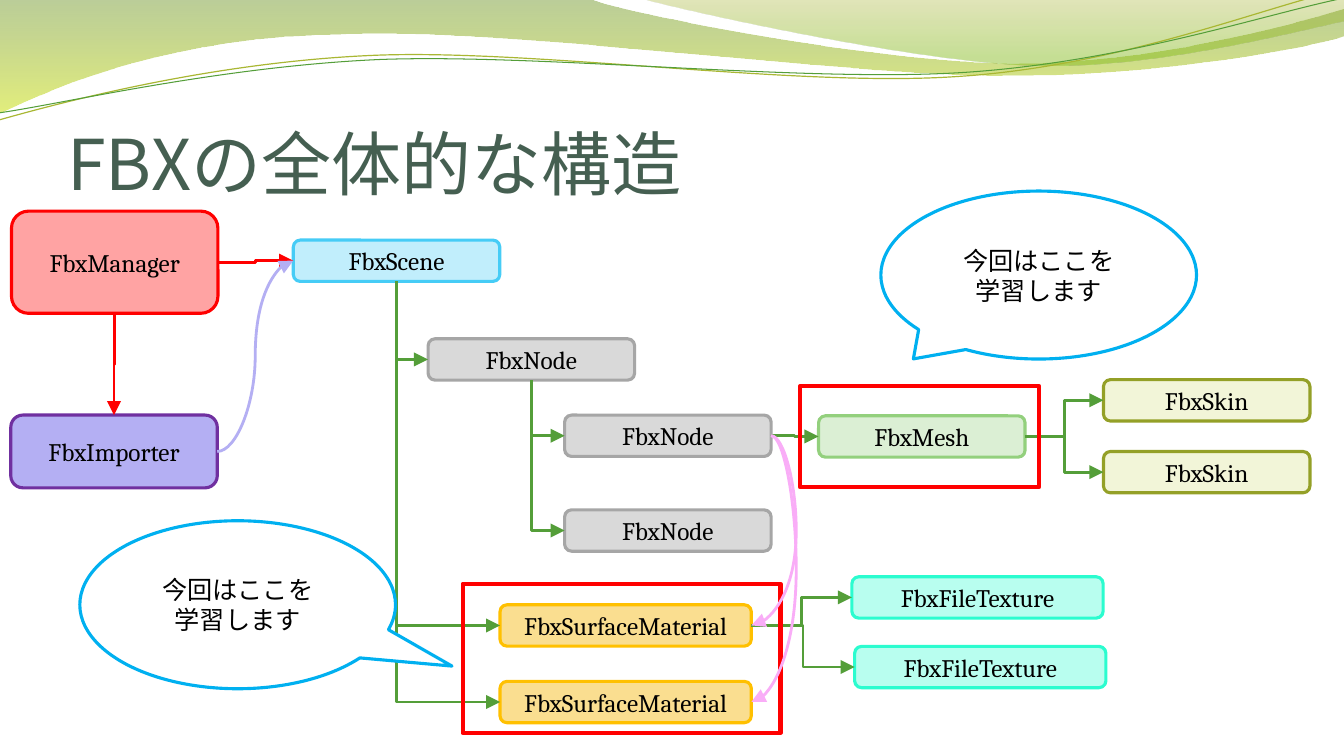
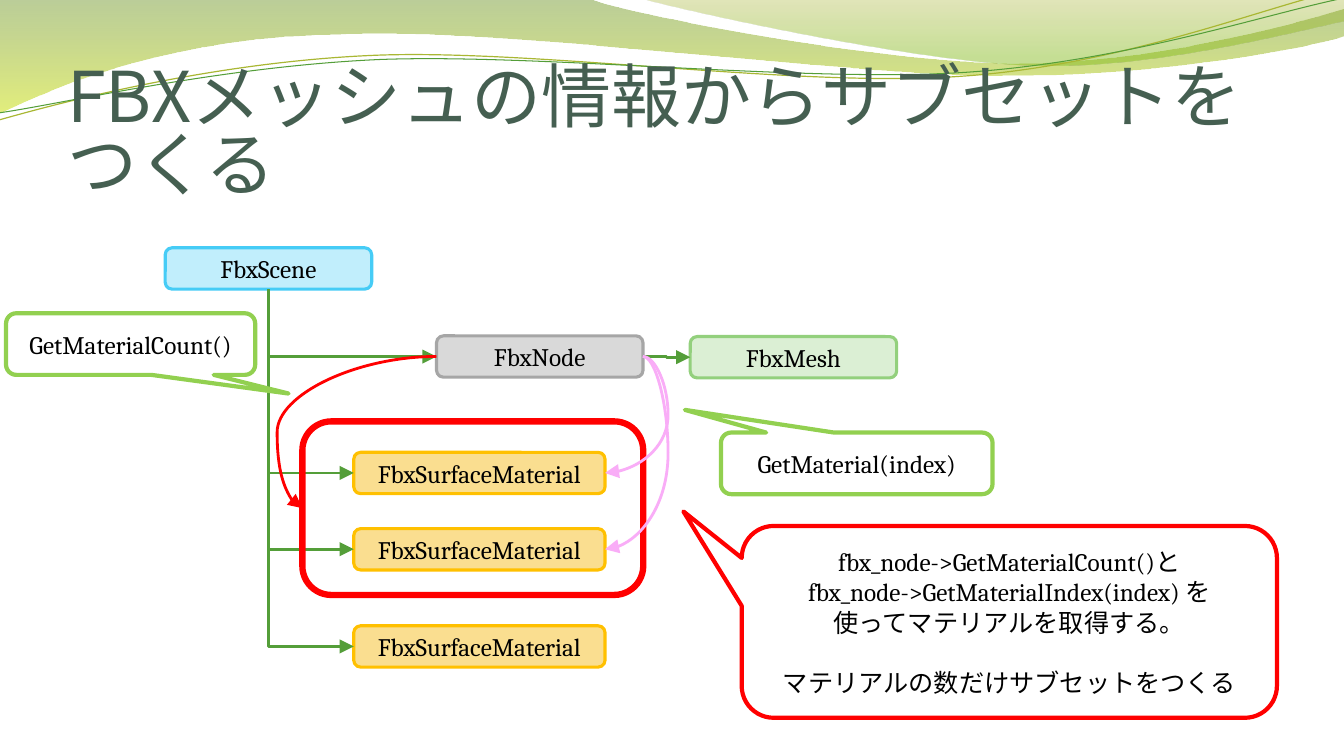
from lxml import etree
from pptx import Presentation
from pptx.dml.color import RGBColor
from pptx.enum import shapes, text
from pptx.oxml.ns import qn
from pptx.util import Pt

COLORS = {
    "title": "455F51", "text": "000000", "white": "FFFFFF",
    "green": "549E39", "red": "FF0000", "lilac": "B4AFF3", "pink": "F9ADF7",
    "blue": "00B0F0", "lime": "92D050", "olive": "A9B733", "purple": "7030A0",
    "grey": "D9D9D9", "grey edge": "A6A6A6", "sky": "C1EEFC", "sky edge": "46CCF6",
    "mint": "DBEFD4", "mint edge": "93D07D", "cream": "F2F5D8", "cream edge": "94A027",
    "gold": "FADE90", "gold edge": "FFC000", "rose": "FFA3A3",
    "aqua": "B8FEEF", "aqua edge": "2BFCCF",
    "moss": "69921C", "lemon": "CCE10F", "khaki": "9BAA1A", "leaf": "81BA16",
}
TITLE_FONT, BODY_FONT = "Noto Sans CJK JP", "Cambria"

# Outlines in points: start, then cubic curves (three points) or straight sides (one point)
WAVES = [
    {"start": (-1.4, 0),
     "sides": [[(422.6, -0.2)],
               [(456.5, 12.2), (636.5, 45.4), (727.9, 45.4)],
               [(818.6, 45.4), (919.4, 18.7), (960, 6.5)],
               [(960.5, 25.9)],
               [(943.9, 31.7), (834.5, 54.7), (715.7, 54)],
               [(596.9, 54), (366.5, 20.2), (247, 24.5)],
               [(123.8, 25.9), (43.9, 59.8), (-1.4, 81.4)]],
     "stops": [("moss", 0, 45), ("lemon", 1, 55)]},
    {"start": (459.4, -0.4),
     "sides": [[(488.9, 7.9), (654.5, 44.6), (738, 46.8)],
               [(820.8, 49.7), (923, 23), (960, 15.1)],
               [(960, 0)]],
     "stops": [("khaki", 0, 30), ("leaf", 0.8, 45)]},
    {"start": (-0.7, 85.7),
     "sides": [[(45.4, 72.7), (151.2, 44.6), (265.7, 39.6)],
               [(379.4, 34.6), (568.1, 62.6), (683.3, 54.7)],
               [(799.2, 47.5), (900.7, 5.8), (957.6, -7.2)]],
     "line": ("olive", 0.85)},
    {"start": (-0.7, 80.6),
     "sides": [[(44.6, 74.2), (157, 47.5), (271.4, 42.5)],
               [(386.6, 38.2), (573.1, 59), (687.6, 51.8)],
               [(802.1, 44.6), (903.6, 10.1), (960, -1.4)]],
     "line": ("green", 0.75)},
]

# Class: fill, edge, width, height
CLASSES = {
    "FbxManager": ("rose", "red", 147.5, 73),
    "FbxImporter": ("lilac", "purple", 147.5, 52),
    "FbxScene": ("sky", "sky edge", 147.5, 29.5),
    "FbxNode": ("grey", "grey edge", 147.5, 29.5),
    "FbxMesh": ("mint", "mint edge", 147.5, 29.5),
    "FbxSkin": ("cream", "cream edge", 147.5, 29.5),
    "FbxSurfaceMaterial": ("gold", "gold edge", 179.5, 29.5),
    "FbxFileTexture": ("aqua", "aqua edge", 179.5, 29.5),
}

# Route: connector type, side it leaves, side it enters, overshoot past the outer end
TOP, LEFT, BOTTOM, RIGHT = range(4)
ELBOW, CURVE = shapes.MSO_CONNECTOR.ELBOW, shapes.MSO_CONNECTOR.CURVE
ROUTES = {
    "branch": (ELBOW, BOTTOM, LEFT, 0),
    "across": (ELBOW, RIGHT, LEFT, 0),
    "down": (ELBOW, BOTTOM, TOP, 0),
    "swing": (CURVE, RIGHT, LEFT, 0),
    "right loop": (CURVE, RIGHT, RIGHT, 18),
    "left loop": (CURVE, LEFT, LEFT, -18),
}
# Routes that leave downwards: preset and turn
TURNS = {
    "branch": ("bentConnector2", {"rot": "16200000", "flipH": "1"}),
    "down": ("bentConnector3", {"rot": "5400000"}),
}

BUBBLE = shapes.MSO_SHAPE.OVAL_CALLOUT
BALLOON = shapes.MSO_SHAPE.ROUNDED_RECTANGULAR_CALLOUT
RECT, ROUND = shapes.MSO_SHAPE.RECTANGLE, shapes.MSO_SHAPE.ROUNDED_RECTANGLE
TODAY = ["今回はここを", "学習します"]

SLIDES = [
    {"title": "FBXの全体的な構造",
     "boxes": {
         "manager": ("FbxManager", 8.2, 150.8), "importer": ("FbxImporter", 7.7, 296.5),
         "scene": ("FbxScene", 209.5, 171.5), "root": ("FbxNode", 305.8, 242),
         "child 1": ("FbxNode", 403.3, 296.5), "child 2": ("FbxNode", 403.3, 364.2),
         "mesh": ("FbxMesh", 584.7, 297),
         "skin 1": ("FbxSkin", 788.2, 271.2), "skin 2": ("FbxSkin", 788.2, 322.5),
         "material 1": ("FbxSurfaceMaterial", 357.2, 432),
         "material 2": ("FbxSurfaceMaterial", 357.2, 486.7),
         "texture 1": ("FbxFileTexture", 608.5, 412),
         "texture 2": ("FbxFileTexture", 610.5, 461.7)},
     "frames": {"mesh frame": (RECT, 571.5, 275.8, 170.8, 72.2, 3),
                "material frame": (RECT, 330.5, 417, 227, 106.5, 3)},
     "links": [
         ("branch", "green", "scene", ["root", "material 1", "material 2"]),
         ("branch", "green", "root", ["child 1", "child 2"]),
         ("across", "green", "child 1", ["mesh"]),
         ("across", "green", "mesh", ["skin 1", "skin 2"]),
         ("across", "green", "material 1", ["texture 1", "texture 2"]),
         ("across", "red", "manager", ["scene"]),
         ("down", "red", "manager", ["importer"])],
     "curves": [
         ("swing", "lilac", "importer", ["scene"]),
         ("right loop", "pink", "child 1", ["material 2", "material 1"])],
     "callouts": [
         (BUBBLE, 629.2, 136.5, 225.5, 120, (-0.397, 0.499), "white", "blue", 2.25, [TODAY], 0),
         (BUBBLE, 57, 372, 225.5, 120, (0.679, 0.365), "white", "blue", 2.25, [TODAY], 0)]},
    {"title": "FBXメッシュの情報からサブセットをつくる",
     "boxes": {
         "scene": ("FbxScene", 118, 177), "node": ("FbxNode", 311.8, 239.9),
         "mesh": ("FbxMesh", 493, 240.4),
         "material 1": ("FbxSurfaceMaterial", 252.7, 323.1),
         "material 2": ("FbxSurfaceMaterial", 252.7, 377.6),
         "material 3": ("FbxSurfaceMaterial", 252.7, 447)},
     "frames": {"subset": (ROUND, 216, 301, 243.5, 124, 4.5)},
     "links": [
         ("branch", "green", "scene", ["node", "material 1", "material 2", "material 3"]),
         ("across", "green", "node", ["mesh"])],
     "curves": [
         ("right loop", "pink", "node", ["material 1", "material 2"]),
         ("left loop", "red", "node", ["subset"])],
     "callouts": [
         (BALLOON, 529.8, 375.7, 382.3, 137, (-0.609, -0.576), None, "red", 3,
          [["fbx_node->GetMaterialCount()と", "fbx_node->GetMaterialIndex(index) を",
            "使ってマテリアルを取得する。"], ["マテリアルの数だけサブセットをつくる"]], 21.4),
         (BALLOON, 4.3, 223.8, 178, 44, (0.634, 0.804), None, "lime", 3,
          [["GetMaterialCount()"]], 0),
         (BALLOON, 515, 309, 194, 44, (-0.633, -0.869), None, "lime", 3,
          [["GetMaterial(index)"]], 0)]},
]


def rgb(name):
    return RGBColor.from_string(COLORS[name])


def set_font(paragraph, name, size, color):
    paragraph.font.name, paragraph.font.size = name, Pt(size)
    paragraph.font.color.rgb = rgb(color)
    defaults = paragraph._p.xpath("./a:pPr/a:defRPr")[0]
    etree.SubElement(defaults, qn("a:ea"), typeface=TITLE_FONT)


def paint(shape, fill, edge, weight):
    shape.shadow.inherit = False
    if fill:
        shape.fill.solid()
        shape.fill.fore_color.rgb = rgb(fill)
    else:
        shape.fill.background()
    shape.line.color.rgb = rgb(edge)
    shape.line.width = Pt(weight)


def add_panel(slide, preset, bounds, fill, edge, weight, blocks=(), gap=0):
    """Add a shape with centred paragraphs, each a list of lines, gap points apart."""
    panel = slide.shapes.add_shape(preset, *map(Pt, bounds))
    paint(panel, fill, edge, weight)
    frame = panel.text_frame
    frame.vertical_anchor = text.MSO_ANCHOR.MIDDLE
    if blocks:
        frame.text = "\n".join("\v".join(lines) for lines in blocks)
        for paragraph in frame.paragraphs:
            paragraph.alignment = text.PP_ALIGN.CENTER
            set_font(paragraph, BODY_FONT, 18, "text")
        if gap:
            paragraph.space_before = Pt(gap)
    return panel


def add_link(slide, route, color, source, target):
    kind, leave, enter, overshoot = ROUTES[route]
    link = slide.shapes.add_connector(kind, 0, 0, 0, 0)
    link.begin_connect(source, leave)
    link.end_connect(target, enter)
    link.line.color.rgb = rgb(color)
    link.line.width = Pt(2)
    props = link.element.spPr
    etree.SubElement(props.find(qn("a:ln")), qn("a:tailEnd"),
                     type="triangle", w="lg", len="lg")
    etree.SubElement(props, qn("a:effectLst"))
    preset = props.find(qn("a:prstGeom"))
    x1, y1, x2, y2 = link.begin_x, link.begin_y, link.end_x, link.end_y
    if route in TURNS:
        # The frame is turned a quarter about its centre, so its sides swap
        name, turn = TURNS[route]
        preset.set("prst", name)
        run, drop = abs(x2 - x1), y2 - y1
        link.left, link.top = (x1 + x2 - drop) // 2, (y1 + y2 - run) // 2
        link.width, link.height = drop, run
        placing = props.find(qn("a:xfrm"))
        placing.attrib.pop("flipH", None)
        for key, value in turn.items():
            placing.set(key, value)
    elif overshoot:
        outer = max(x1, x2) if overshoot > 0 else min(x1, x2)
        bend = (outer + Pt(overshoot) - x1) / (x2 - x1)
        guides = preset.find(qn("a:avLst"))
        if guides is None:
            guides = etree.SubElement(preset, qn("a:avLst"))
        etree.SubElement(guides, qn("a:gd"), name="adj1", fmla=f"val {round(bend * 100000)}")


def add_outline(slide, start, sides, close):
    """Build a freeform through all points, then turn each three-point side into a curve."""
    start, *points = [(Pt(x), Pt(y)) for x, y in [start, *sum(sides, [])]]
    builder = slide.shapes.build_freeform(*start)
    builder.add_line_segments(points, close=close)
    band = builder.convert_to_shape()
    segments = iter(band.element.xpath(".//a:lnTo"))
    for side in sides:
        first, *others = [next(segments) for _ in side]
        if others:
            first.tag = qn("a:cubicBezTo")
            for other in others:
                first.append(other[0])
                other.getparent().remove(other)
    return band


def add_waves(slide, layout):
    """Draw the waves and hand them to the layout, behind its placeholders."""
    for place, wave in enumerate(WAVES, start=2):
        band = add_outline(slide, wave["start"], wave["sides"], "stops" in wave)
        if "stops" in wave:
            band.shadow.inherit = False
            band.line.fill.background()
            band.fill.gradient()
            band.fill.gradient_angle = 270
            for stop, (color, position, _) in zip(band.fill.gradient_stops, wave["stops"]):
                stop.color.rgb, stop.position = rgb(color), position
            tints = band.element.xpath(".//a:gradFill//a:srgbClr")
            for tint, (_, _, opacity) in zip(tints, wave["stops"]):
                etree.SubElement(tint, qn("a:alpha"), val=str(opacity * 1000))
        else:
            paint(band, None, *wave["line"])
        layout.shapes.element.insert(place, band.element)


def set_title(slide, wording):
    title = slide.shapes.title
    title.left, title.top, title.width, title.height = map(Pt, (48, 55.5, 864, 90))
    frame = title.text_frame
    frame.text = wording
    frame.word_wrap = True
    frame.auto_size = text.MSO_AUTO_SIZE.NONE
    frame.vertical_anchor = text.MSO_ANCHOR.BOTTOM
    frame.margin_left = frame.margin_right = frame.margin_bottom = 0
    frame.margin_top = Pt(3.6)
    paragraph = frame.paragraphs[0]
    paragraph.alignment = text.PP_ALIGN.LEFT
    paragraph.line_spacing = 0.8
    set_font(paragraph, TITLE_FONT, 50, "title")


def build_slide(slide, content):
    set_title(slide, content["title"])
    nodes = {}

    def connect(groups):
        for route, color, source, targets in groups:
            for target in targets:
                add_link(slide, route, color, nodes[source], nodes[target])

    for key, (label, x, y) in content["boxes"].items():
        fill, edge, width, height = CLASSES[label]
        nodes[key] = add_panel(slide, ROUND, (x, y, width, height), fill, edge, 2.25, [[label]])
    connect(content["links"])
    for key, (preset, *bounds, weight) in content["frames"].items():
        nodes[key] = add_panel(slide, preset, bounds, None, "red", weight)
    connect(content["curves"])
    for preset, x, y, width, height, tip, *look in content["callouts"]:
        callout = add_panel(slide, preset, (x, y, width, height), *look)
        callout.adjustments[0], callout.adjustments[1] = tip


def main():
    deck = Presentation()
    deck.slide_width, deck.slide_height = Pt(960), Pt(540)
    layout = deck.slide_layouts[5]
    for content in SLIDES:
        slide = deck.slides.add_slide(layout)
        if content is SLIDES[0]:
            add_waves(slide, layout)
        build_slide(slide, content)
    deck.save("out.pptx")


if __name__ == "__main__":
    main()
